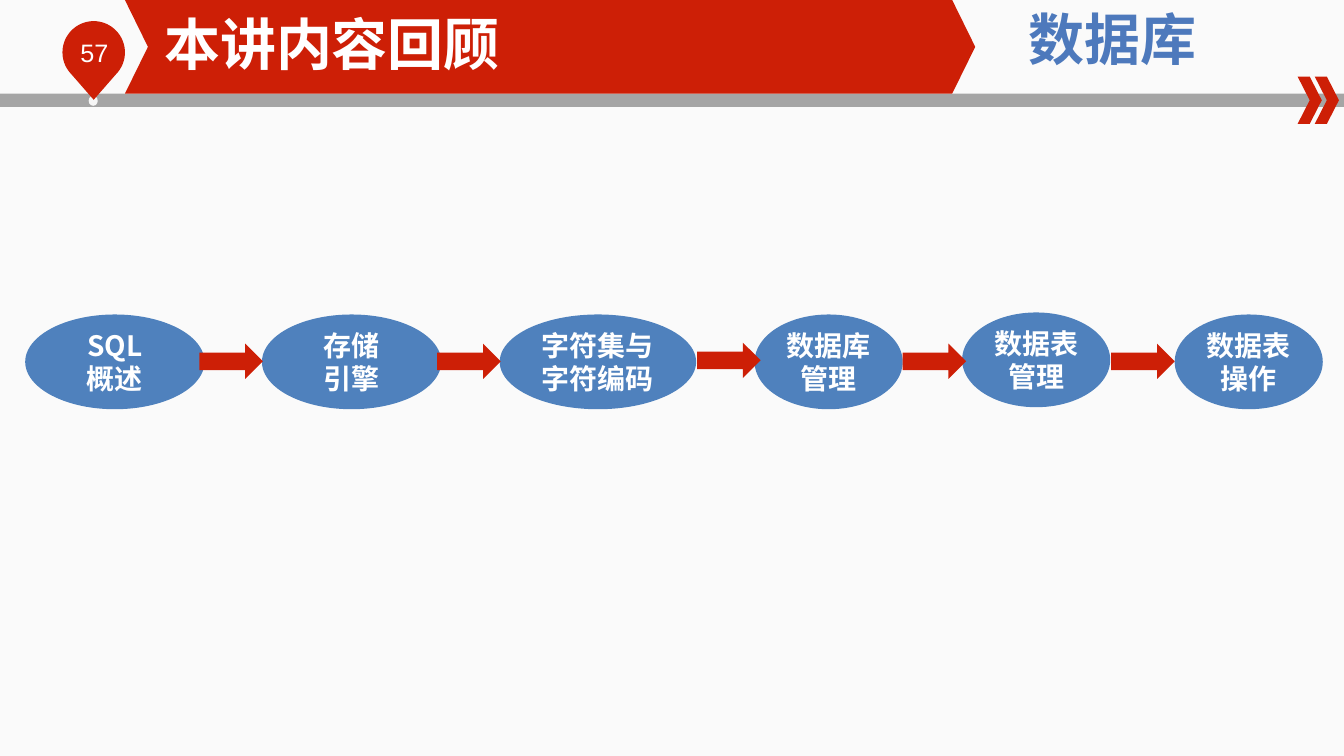
"""Build the lecture review slide: a red title banner above a six-step flow."""
from math import cos, radians, sin

from lxml import etree
from pptx import Presentation
from pptx.dml.color import RGBColor
from pptx.enum.shapes import MSO_SHAPE
from pptx.enum.text import MSO_ANCHOR, PP_ALIGN
from pptx.oxml.ns import qn
from pptx.util import Inches, Pt

RECT, OVAL = MSO_SHAPE.RECTANGLE, MSO_SHAPE.OVAL
CHEVRON, ARROW = MSO_SHAPE.CHEVRON, MSO_SHAPE.RIGHT_ARROW
LEFT, CENTER = PP_ALIGN.LEFT, PP_ALIGN.CENTER
TOP, MIDDLE = MSO_ANCHOR.TOP, MSO_ANCHOR.MIDDLE
RED, BLUE, GREY, WHITE = "CD1F06", "4F81BD", "A5A5A5", "FFFFFF"
CJK = "Noto Sans CJK SC"


def paint(sp, color):
    sp.shadow.inherit = False
    sp.fill.solid()
    sp.fill.fore_color.rgb = RGBColor.from_string(color)
    sp.line.fill.background()


def write(sp, text, size, color=WHITE, bold=True, font=CJK, align=CENTER, anchor=MIDDLE):
    tf = sp.text_frame
    tf.text = text
    tf.word_wrap = True
    tf.vertical_anchor = anchor
    for p in tf.paragraphs:
        p.alignment = align
        for r in p.runs:
            r.font.size, r.font.bold, r.font.name = Pt(size), bold, font
            r.font.color.rgb = RGBColor.from_string(color)
            etree.SubElement(r.font._element, qn("a:ea"), typeface=CJK)


prs = Presentation()
prs.slide_width, prs.slide_height = Inches(13.34), Inches(7.5)
s = prs.slides.add_slide(prs.slide_layouts[5])

bg = s.background.fill
bg.gradient()
bg.gradient_angle = 270
for stop, color in zip(bg.gradient_stops, ("FAFAFA", "FCFCFC")):
    stop.color.rgb = RGBColor.from_string(color)

header = [
    (RECT, 0, 0.93, 13.34, 0.13, GREY, None),
    (OVAL, 0.88, 0.95, 0.09, 0.1, "F6F6F6", None),
    (CHEVRON, 12.88, 0.76, 0.24, 0.47, RED, 0.5),
    (CHEVRON, 13.05, 0.76, 0.24, 0.47, RED, 0.5),
    (CHEVRON, 1.24, 0, 8.44, 0.93, RED, 0.246),
]
for kind, x, y, w, h, color, adj in header:
    sp = s.shapes.add_shape(kind, Inches(x), Inches(y), Inches(w), Inches(h))
    paint(sp, color)
    if adj:
        sp.adjustments[0] = adj

arc = [(Inches(0.93 + 0.31 * cos(radians(a))), Inches(0.52 + 0.31 * sin(radians(a))))
       for a in range(135, 406, 5)]
pin = s.shapes.build_freeform(Inches(0.93), Inches(0.99))
pin.add_line_segments(arc, close=True)
paint(pin.convert_to_shape(), RED)

number = s.shapes.add_textbox(Inches(0.7), Inches(0.32), Inches(0.76), Inches(0.4))
write(number, "57", 18, bold=False, font="Arial", align=LEFT, anchor=TOP)
course = s.shapes.add_textbox(Inches(9.68), Inches(0), Inches(2.72), Inches(0.77))
write(course, "数据库", 40, color="4D79BC", anchor=TOP)

title = s.shapes.title
title.left, title.top = Inches(1.63), Inches(0.09)
title.width, title.height = Inches(6.61), Inches(0.67)
write(title, "本讲内容回顾", 40, font="Arial", align=LEFT)
tf = title.text_frame
tf.margin_left = tf.margin_top = tf.margin_right = tf.margin_bottom = 0
s.shapes._spTree.append(title._element)

steps = [
    ("SQL\n概述", 0.25, 3.12, 1.78),
    ("存储\n引擎", 2.6, 3.12, 1.78),
    ("字符集与字符编码", 4.96, 3.12, 1.95),
    ("数据库\n管理", 7.49, 3.12, 1.47),
    ("数据表\n管理", 9.55, 3.1, 1.47),
    ("数据表\n操作", 11.66, 3.12, 1.47),
]
for text, x, y, w in steps:
    sp = s.shapes.add_shape(OVAL, Inches(x), Inches(y), Inches(w), Inches(0.94))
    paint(sp, BLUE)
    write(sp, text, 20)

for x, y in [(1.98, 3.41), (4.34, 3.41), (6.92, 3.4), (8.96, 3.41), (11.03, 3.41)]:
    sp = s.shapes.add_shape(ARROW, Inches(x), Inches(y), Inches(0.63), Inches(0.35))
    paint(sp, RED)

prs.save("out.pptx")
